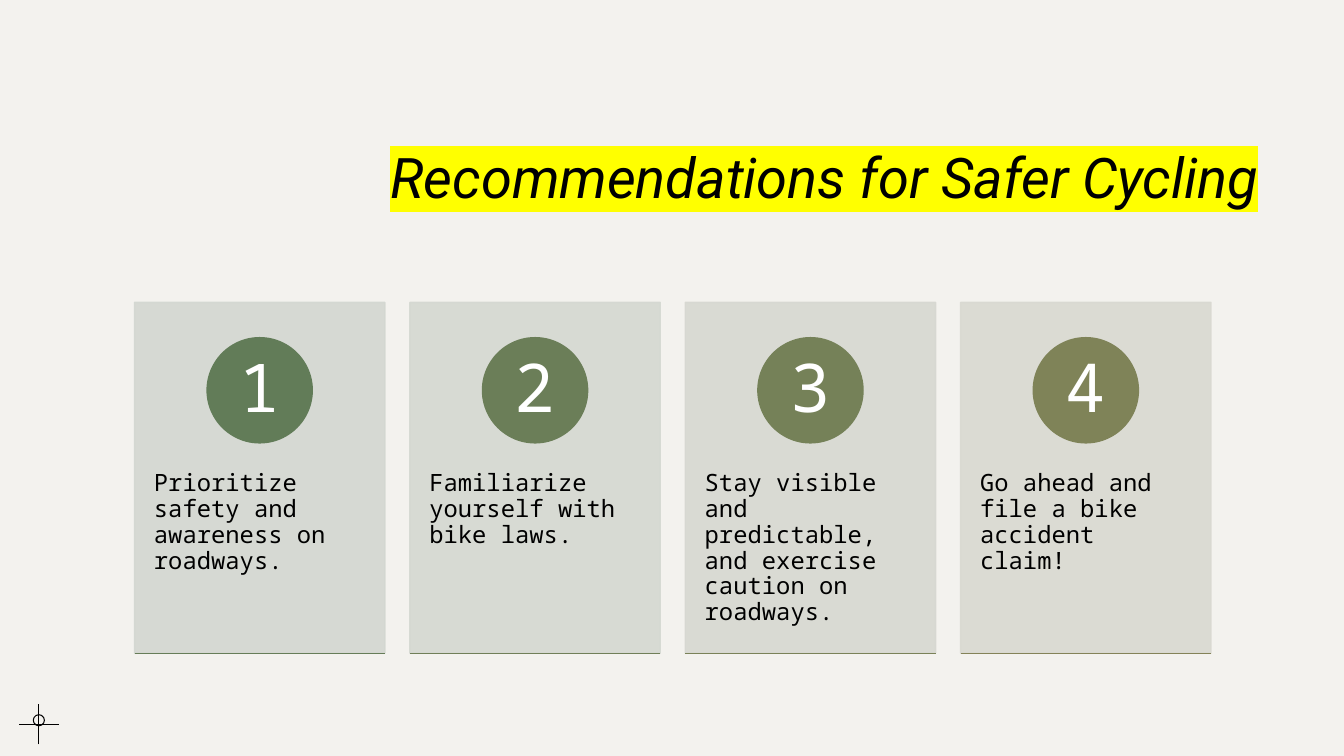
import pptx
import pptx.util
import pptx.dml.color
import pptx.enum.shapes
import pptx.enum.text
import pptx.oxml
from dataclasses import dataclass
from lxml import etree
from pptx.oxml.ns import qn

Cm, Pt = pptx.util.Cm, pptx.util.Pt
RGB = pptx.dml.color.RGBColor.from_string
SHAPE = pptx.enum.shapes.MSO_SHAPE
STRAIGHT = pptx.enum.shapes.MSO_CONNECTOR.STRAIGHT
ALIGN = pptx.enum.text.PP_ALIGN
ANCHOR = pptx.enum.text.MSO_ANCHOR


@dataclass(frozen=True)
class Theme:
    background: str = "F3F2EE"
    ink: str = "000000"
    number: str = "FFFFFF"
    highlight: str = "FFFF00"
    title_font: str = "Roboto"
    body_font: str = "Noto Sans Mono"
    title_size: int = 40
    number_size: int = 48
    body_size: int = 17
    # panel, circle and base line of each card
    cards: tuple = (
        ("D3D7D1", "627C58", "667D58"),
        ("D4D8D1", "6B7E58", "707F58"),
        ("D7D8D1", "758158", "7A8258"),
        ("D9D9D1", "7F8358", "848358"),
    )


theme = Theme()


def write(shape, text, font, size, color, align, anchor, spacing, margins):
    """Put one styled paragraph in a shape and return its run."""
    frame = shape.text_frame
    frame.text = text
    frame.word_wrap = True
    frame.vertical_anchor = anchor
    frame.margin_left = frame.margin_right = Cm(margins[0])
    frame.margin_top = frame.margin_bottom = Cm(margins[1])
    para = frame.paragraphs[0]
    para.alignment = align
    para.line_spacing = spacing
    span = para.runs[0]
    span.font.name = font
    span.font.size = Pt(size)
    span.font.color.rgb = RGB(color)
    return span


def draw_line(x1, y1, x2, y2, color, width):
    """Draw a straight line without a shadow."""
    line = page.shapes.add_connector(STRAIGHT, Cm(x1), Cm(y1), Cm(x2), Cm(y2))
    line.line.color.rgb = RGB(color)
    line.line.width = Pt(width)
    etree.SubElement(line._element.spPr, qn("a:effectLst"))


deck = pptx.Presentation()
deck.slide_width, deck.slide_height = Cm(33.87), Cm(19.05)
page = deck.slides.add_slide(deck.slide_layouts[6])
page.background.fill.solid()
page.background.fill.fore_color.rgb = RGB(theme.background)

# Highlighted title
title = page.shapes.add_textbox(Cm(3.38), Cm(1.02), Cm(28.58), Cm(4.39))
span = write(title, "Recommendations for Safer Cycling", theme.title_font,
             theme.title_size, theme.ink, ALIGN.RIGHT, ANCHOR.BOTTOM, 1.2, (0.25, 0.13))
span.font.italic = True
highlight = etree.Element(qn("a:highlight"))
etree.SubElement(highlight, qn("a:srgbClr"), val=theme.highlight)
span.font._element.find(qn("a:solidFill")).addnext(highlight)

# Crosshair ornament in the corner
draw_line(0.48, 18.25, 1.48, 18.25, theme.ink, 0.75)
draw_line(0.98, 18.76, 0.98, 17.75, theme.ink, 0.75)
ring = page.shapes.add_shape(SHAPE.OVAL, Cm(0.84), Cm(18.01), Cm(0.28), Cm(0.28))
ring.shadow.inherit = False
ring.fill.background()
ring.line.color.rgb = RGB(theme.ink)
ring.line.width = Pt(0.75)

# Numbered cards
recommendations = (
    "Prioritize safety and awareness on roadways.",
    "Familiarize yourself with bike laws.",
    "Stay visible and predictable, and exercise caution on roadways.",
    "Go ahead and file a bike accident claim!",
)
card_left, card_top, card_width, card_height, card_pitch = 3.39, 7.62, 6.31, 8.84, 6.94
circle_size = 2.65

for index, (advice, colors) in enumerate(zip(recommendations, theme.cards)):
    panel_color, circle_color, base_color = colors
    left = card_left + index * card_pitch

    panel = page.shapes.add_shape(
        SHAPE.RECTANGLE, Cm(left), Cm(card_top), Cm(card_width), Cm(card_height))
    circle = page.shapes.add_shape(
        SHAPE.OVAL, Cm(left + (card_width - circle_size) / 2), Cm(8.51),
        Cm(circle_size), Cm(circle_size))
    for shape, color in ((panel, panel_color), (circle, circle_color)):
        shape.shadow.inherit = False
        shape.fill.solid()
        shape.fill.fore_color.rgb = RGB(color)
        shape.line.color.rgb = RGB(color)
        shape.line.width = Pt(1)
    # Panel fill and outline are slightly transparent
    for color_element in panel._element.spPr.iter(qn("a:srgbClr")):
        etree.SubElement(color_element, qn("a:alpha"), val="90000")

    write(circle, str(index + 1), theme.body_font, theme.number_size,
          theme.number, ALIGN.CENTER, ANCHOR.MIDDLE, 0.9, (0.2, 0.03))
    box = page.shapes.add_textbox(Cm(left), Cm(10.97), Cm(card_width), Cm(5.31))
    write(box, advice, theme.body_font, theme.body_size,
          theme.ink, ALIGN.LEFT, ANCHOR.TOP, 0.9, (0.49, 0.91))

    base = card_top + card_height
    draw_line(left, base, left + card_width, base, base_color, 1)

deck.save("out.pptx")
